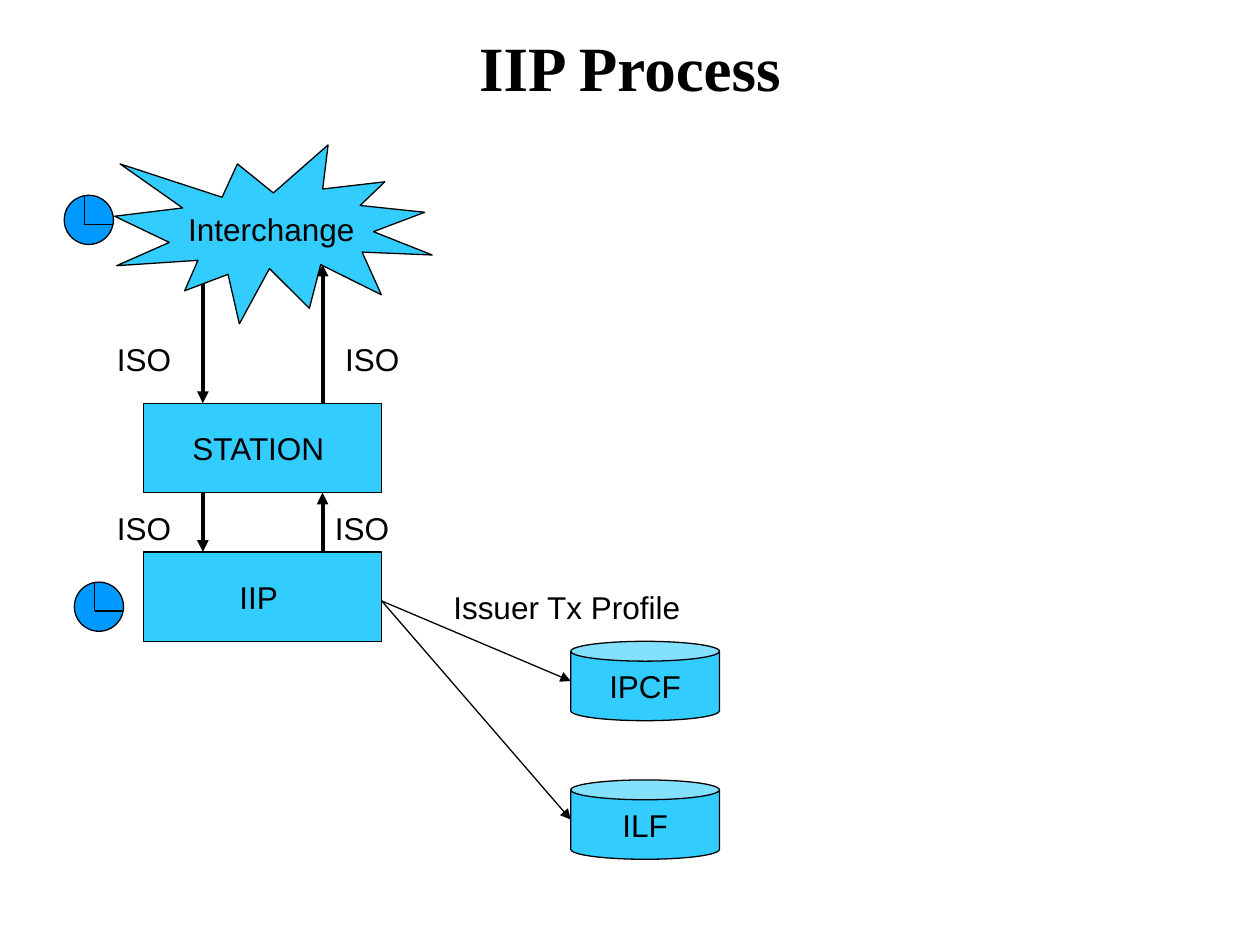
from lxml import etree
from pptx import Presentation
from pptx.dml.color import RGBColor
from pptx.enum.shapes import MSO_CONNECTOR, MSO_SHAPE as SHAPE
from pptx.enum.text import MSO_ANCHOR as ANCHOR, PP_ALIGN as ALIGN
from pptx.oxml.ns import qn
from pptx.util import Inches, Pt

COLORS = {"ink": "000000", "box": "33CCFF", "clock": "0099FF", "paper": "FFFFFF"}
LABEL = {"name": "Arial", "size": Pt(18), "bold": False}
TITLE = {"name": "Times New Roman", "size": Pt(36), "bold": True}
BOX_LEFT, BOX_WIDTH, BOX_HEIGHT = 1.14, 1.89, 0.71
STATION_TOP, IIP_TOP = 3.2, 4.38
DOWN_X, UP_X = 1.61, 2.56
FILE_LEFT, FILE_WIDTH, FILE_HEIGHT = 4.53, 1.18, 0.63


def color(name):
    """Return the named colour."""
    return RGBColor.from_string(COLORS[name])


def write(shape, text, style=LABEL, align=ALIGN.CENTER, anchor=ANCHOR.MIDDLE, wrap=False):
    """Put one styled paragraph into a shape."""
    frame = shape.text_frame
    frame.word_wrap = wrap
    frame.vertical_anchor = anchor
    para = frame.paragraphs[0]
    para.alignment = align
    span = para.add_run()
    span.text = text
    for key, value in style.items():
        setattr(span.font, key, value)
    span.font.color.rgb = color("ink")


def add_text(page, text, left, top, width, height=0.4, **options):
    """Add a wrapping text box."""
    box = page.shapes.add_textbox(*map(Inches, (left, top, width, height)))
    write(box, text, wrap=True, **options)


def add_node(page, kind, left, top, width, height, text="", fill="box"):
    """Add a filled, outlined shape with an optional label."""
    shape = page.shapes.add_shape(kind, *map(Inches, (left, top, width, height)))
    shape.shadow.inherit = False
    shape.fill.solid()
    shape.fill.fore_color.rgb = color(fill)
    shape.line.color.rgb = color("ink")
    shape.line.width = Pt(0.75)
    if text:
        write(shape, text)
    return shape


def add_line(page, start, end, width=0.75, arrow=True):
    """Add a straight line, by default with an arrowhead at its end."""
    line = page.shapes.add_connector(MSO_CONNECTOR.STRAIGHT, *map(Inches, start + end))
    line.line.color.rgb = color("ink")
    line.line.width = Pt(width)
    if arrow:
        etree.SubElement(line.line._get_or_add_ln(), qn("a:tailEnd"), type="triangle")
    etree.SubElement(line._element.spPr, qn("a:effectLst"))


def add_clock(page, left, top):
    """Add a round clock with two hands."""
    size, hub_x, hub_y = 0.39, left + 0.16, top + 0.23
    add_node(page, SHAPE.OVAL, left, top, size, size, fill="clock")
    for end in ((hub_x, top), (left + size, hub_y)):
        add_line(page, (hub_x, hub_y), end, arrow=False)


def add_file(page, text, top):
    """Add a file cylinder and the arrow that reaches it from IIP."""
    can = add_node(page, SHAPE.CAN, FILE_LEFT, top, FILE_WIDTH, FILE_HEIGHT, text)
    can.adjustments[0] = 0.25
    add_line(page, (BOX_LEFT + BOX_WIDTH, 4.77), (FILE_LEFT, top + FILE_HEIGHT / 2))


def main():
    """Build the slide and save it."""
    deck = Presentation()
    deck.slide_width, deck.slide_height = Inches(10), Inches(7.5)
    page = deck.slides.add_slide(deck.slide_layouts[6])
    page.background.fill.solid()
    page.background.fill.fore_color.rgb = color("paper")

    add_text(page, "IIP Process", 0.5, 0.21, 9, 0.64, style=TITLE)
    add_node(page, SHAPE.EXPLOSION1, 0.91, 1.15, 2.52, 1.42, "Interchange")
    for text, top in (("STATION ", STATION_TOP), ("IIP ", IIP_TOP)):
        add_node(page, SHAPE.RECTANGLE, BOX_LEFT, top, BOX_WIDTH, BOX_HEIGHT, text)

    station_bottom = STATION_TOP + BOX_HEIGHT
    for x, start, end in (
        (DOWN_X, 2.25, STATION_TOP),
        (UP_X, STATION_TOP, 2.1),
        (DOWN_X, station_bottom, IIP_TOP),
        (UP_X, IIP_TOP, station_bottom),
    ):
        add_line(page, (x, start), (x, end), width=2.25)

    for text, left, top, width in (
        ("ISO", 0.83, 2.65, 0.91),
        ("ISO", 2.64, 2.65, 0.91),
        ("ISO", 0.83, 3.99, 0.91),
        ("ISO", 2.56, 3.99, 0.71),
        (" Issuer Tx Profile", 3.43, 4.62, 2.28),
    ):
        add_text(page, text, left, top, width, align=ALIGN.LEFT, anchor=ANCHOR.TOP)

    for text, top in (("IPCF", 5.09), ("ILF", 6.19)):
        add_file(page, text, top)
    for left, top in ((0.59, 4.62), (0.51, 1.55)):
        add_clock(page, left, top)
    deck.save("out.pptx")


if __name__ == "__main__":
    main()
